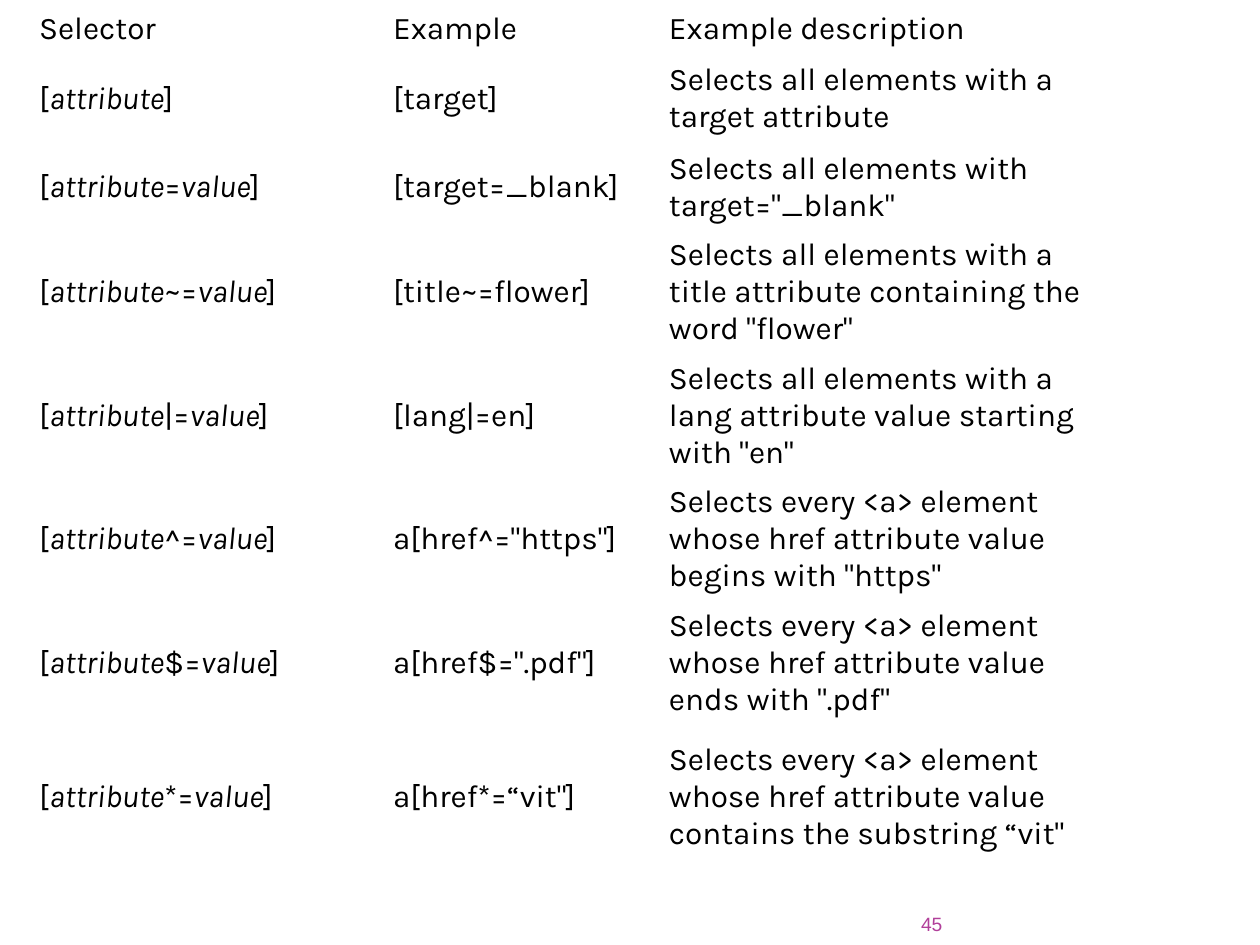
from dataclasses import dataclass
from typing import Any

from pptx import Presentation
from pptx import util as u
from pptx.dml import color
from pptx.enum import text

COLUMN_WIDTHS = [2.81, 2.19, 3.42]
ROW_HEIGHTS = [0.36, 0.72, 0.66, 0.96, 0.96, 0.96, 0.96, 1.15]
HEADINGS = ["Selector", "Example", "Example description"]
# Operator, example and description of each attribute selector
SELECTORS = [
    ("", "[target]", "Selects all elements with a target attribute"),
    ("=", "[target=_blank]", 'Selects all elements with target="_blank"'),
    ("~=", "[title~=flower]",
     'Selects all elements with a title attribute containing the word "flower"'),
    ("|=", "[lang|=en]",
     'Selects all elements with a lang attribute value starting with "en"'),
    ("^=", 'a[href^="https"]',
     'Selects every <a> element whose href attribute value begins with "https"'),
    ("$=", 'a[href$=".pdf"]',
     'Selects every <a> element whose href attribute value ends with ".pdf"'),
    ("*=", 'a[href*=“vit"]',
     'Selects every <a> element whose href attribute value contains the substring “vit"'),
]


def rgb(value):
    return color.RGBColor.from_string(value)


def write_text(frame, runs, *, font, size, fill, align=text.PP_ALIGN.LEFT):
    """Fill the first paragraph with (wording, italic) runs, or with one string."""
    if isinstance(runs, str):
        runs = [(runs, False)]
    paragraph = frame.paragraphs[0]
    paragraph.alignment = align
    for wording, italic in runs:
        run = paragraph.add_run()
        run.text = wording
        run.font.name = font
        run.font.size = u.Pt(size)
        run.font.color.rgb = rgb(fill)
        run.font.italic = italic


def selector_runs(operator):
    """Set the placeholder words of a selector in italics."""
    runs = [("[", False), ("attribute", True)]
    if operator:
        runs += [(operator, False), ("value", True)]
    return runs + [("]", False)]


@dataclass
class SlideBuilder:
    slide: Any
    body_font: str = "Karla"
    body_size: int = 18
    body_color: str = "000000"
    number_font: str = "Arial"
    number_size: int = 11
    number_color: str = "B13F9A"

    def add_table(self, left, top, widths, heights, rows):
        shape = self.slide.shapes.add_table(
            len(heights), len(widths), u.Inches(left), u.Inches(top),
            u.Inches(sum(widths)), u.Inches(sum(heights)))
        table = shape.table
        table.first_row = table.horz_banding = False
        for column, width in zip(table.columns, widths):
            column.width = u.Inches(width)
        for row, height, contents in zip(table.rows, heights, rows):
            row.height = u.Inches(height)
            for cell, content in zip(row.cells, contents):
                self.fill_cell(cell, content)

    def fill_cell(self, cell, content):
        cell.fill.background()
        cell.vertical_anchor = text.MSO_ANCHOR.MIDDLE
        cell.margin_left = cell.margin_right = u.Inches(0.06)
        cell.margin_top = cell.margin_bottom = u.Inches(0.05)
        write_text(cell.text_frame, content, font=self.body_font,
                   size=self.body_size, fill=self.body_color)

    def add_slide_number(self, number, left, top, width, height):
        box = self.slide.shapes.add_textbox(*map(u.Inches, (left, top, width, height)))
        frame = box.text_frame
        frame.word_wrap = True
        frame.vertical_anchor = text.MSO_ANCHOR.BOTTOM
        frame.margin_left = frame.margin_right = 0
        frame.margin_top = frame.margin_bottom = 0
        write_text(frame, number, font=self.number_font, size=self.number_size,
                   fill=self.number_color, align=text.PP_ALIGN.RIGHT)


def main():
    presentation = Presentation()
    presentation.slide_width = u.Inches(10)
    presentation.slide_height = u.Inches(7.5)
    builder = SlideBuilder(presentation.slides.add_slide(presentation.slide_layouts[6]))
    rows = [HEADINGS] + [
        (selector_runs(operator), example, description)
        for operator, example, description in SELECTORS]
    builder.add_table(0.25, 0.03, COLUMN_WIDTHS, ROW_HEIGHTS, rows)
    builder.add_slide_number("45", 6.84, 7.17, 0.64, 0.25)
    presentation.save("out.pptx")


if __name__ == "__main__":
    main()
